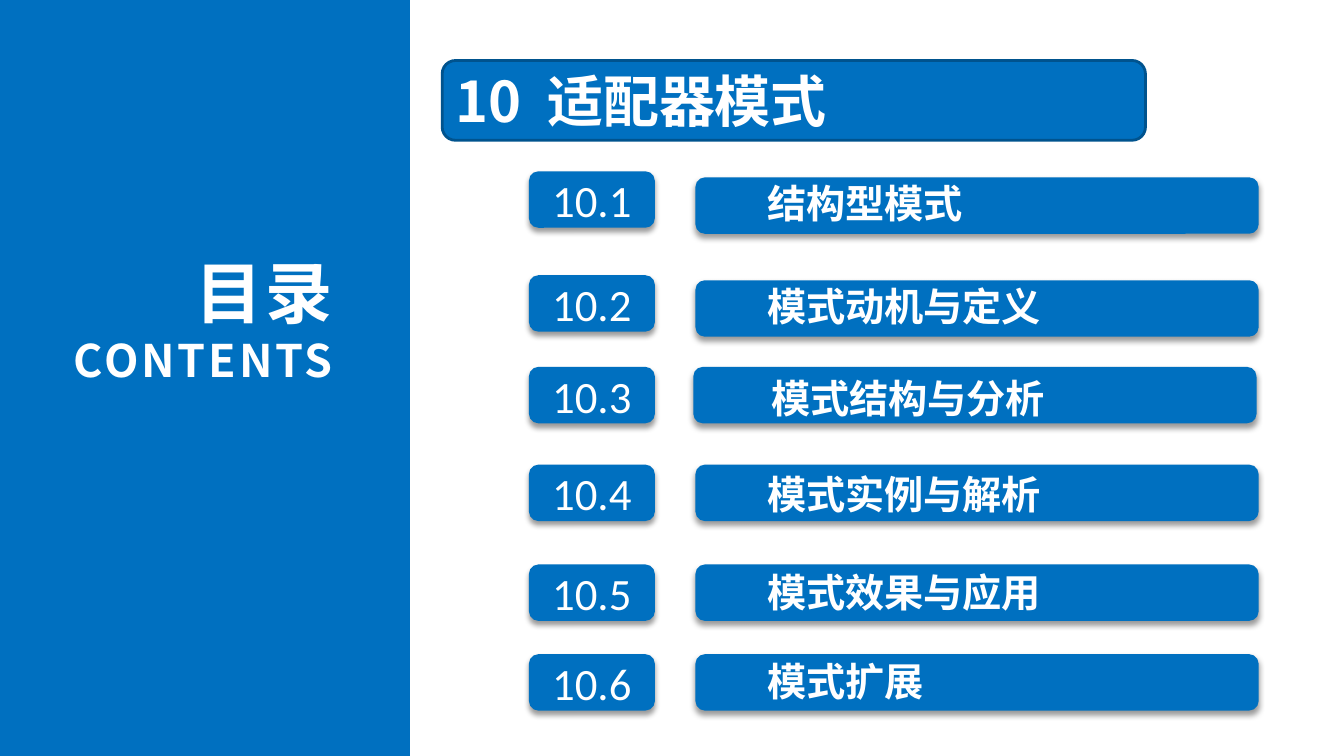
from lxml.etree import SubElement
from pptx import Presentation
from pptx.dml.color import RGBColor
from pptx.enum.shapes import MSO_SHAPE
from pptx.enum.text import MSO_ANCHOR, PP_ALIGN
from pptx.oxml.ns import qn
from pptx.util import Pt

BLUE = RGBColor(0x00, 0x70, 0xC0)
NAVY = RGBColor(0x00, 0x53, 0x8E)
WHITE = RGBColor(0xFF, 0xFF, 0xFF)
CJK = "Noto Sans CJK SC"

HEADING = {"name": CJK, "size": Pt(40), "bold": True}
CONTENTS = {"name": CJK, "size": Pt(48), "bold": True}
CONTENTS_EN = {**CONTENTS, "size": Pt(32)}
NUMBER = {"name": "Calibri", "size": Pt(32)}
LABEL = {"name": CJK, "size": Pt(28), "bold": True}

ROW_HEIGHT = 40.3
SECTIONS = [
    ("结构型模式", 122.4, (0, 4.3), (0, 0.7)),
    ("模式动机与定义", 196.6, (0, 3.6), (0, 0)),
    ("模式结构与分析", 262.1, (-1.5, 0), (2.9, 0.7)),
    ("模式实例与解析", 331.9, (0, 0), (0, -0.7)),
    ("模式效果与应用", 403.2, (0, 0), (0, -2.2)),
    ("模式扩展", 467.3, (0, 0), (0, -2.9)),
]


def add_run(p, text, style, spacing=0):
    """Add a white run with the given font values and letter spacing in points."""
    r = p.add_run()
    r.text = text
    r.font.color.rgb = WHITE
    for key, value in style.items():
        setattr(r.font, key, value)
    rPr = r.font._element
    SubElement(rPr, qn("a:ea"), typeface=style["name"])
    if spacing:
        rPr.set("spc", str(int(spacing * 100)))


def set_frame(sp, anchor=MSO_ANCHOR.TOP):
    """Set wrapping, insets and anchor, and return the text frame."""
    tf = sp.text_frame
    values = {
        "word_wrap": True, "vertical_anchor": anchor,
        "margin_left": Pt(9.6), "margin_right": Pt(9.6),
        "margin_top": Pt(4.8), "margin_bottom": Pt(4.8),
    }
    for key, value in values.items():
        setattr(tf, key, value)
    return tf


def add_panel(s, kind, box):
    """Add a plain blue shape without outline."""
    sp = s.shapes.add_shape(kind, *map(Pt, box))
    sp.shadow.inherit = False
    sp.fill.solid()
    sp.fill.fore_color.rgb = BLUE
    sp.line.fill.background()
    return sp


def add_button(s, box):
    """Add a rounded blue panel with a soft shadow below it."""
    sp = add_panel(s, MSO_SHAPE.ROUNDED_RECTANGLE, box)
    effects = sp._element.spPr.find(qn("a:effectLst"))
    shadow = SubElement(effects, qn("a:outerShdw"), blurRad=str(Pt(4)),
                        dist=str(Pt(3)), dir="5400000", rotWithShape="0")
    color = SubElement(shadow, qn("a:srgbClr"), val="000000")
    SubElement(color, qn("a:alpha"), val="40000")
    return sp


def add_sidebar(s, x, y, w, h):
    """Draw the blue side panel with the contents title."""
    add_panel(s, MSO_SHAPE.RECTANGLE, (x, y, w, h))
    box = (x + 26.6, y + 175, w - 72, 106.6)
    tf = set_frame(s.shapes.add_textbox(*map(Pt, box)))
    lines = [(tf.paragraphs[0], "目录", CONTENTS),
             (tf.add_paragraph(), "CONTENTS", CONTENTS_EN)]
    for p, text, style in lines:
        p.alignment = PP_ALIGN.RIGHT
        add_run(p, text, style, 2)


def add_heading(s, x, y, w, h):
    """Draw the outlined chapter heading."""
    sp = add_panel(s, MSO_SHAPE.ROUNDED_RECTANGLE, (x, y, w, h))
    sp.line.color.rgb = NAVY
    sp.line.width = Pt(2)
    tf = set_frame(sp, MSO_ANCHOR.MIDDLE)
    tf.margin_left = tf.margin_right = Pt(7.2)
    p = tf.paragraphs[0]
    p.alignment = PP_ALIGN.LEFT
    add_run(p, "10", HEADING)
    add_run(p, " ", HEADING, 9)
    add_run(p, "适配器模式", HEADING)


def add_section(s, x, y, w, h, number, title, bar_shift, label_shift):
    """Draw one row: number button, title bar and title text."""
    sp = add_button(s, (x, y, 90, h))
    p = set_frame(sp, MSO_ANCHOR.MIDDLE).paragraphs[0]
    p.alignment = PP_ALIGN.CENTER
    add_run(p, number, NUMBER)
    dx, dy = bar_shift
    add_button(s, (x + 119 + dx, y + dy, w - 119, h))
    dx, dy = label_shift
    box = (x + 160.6 + dx, y + dy, 294.5, 44)
    tf = set_frame(s.shapes.add_textbox(*map(Pt, box)))
    add_run(tf.paragraphs[0], title, LABEL)


def main():
    """Build the contents slide and save it."""
    prs = Presentation()
    prs.slide_width, prs.slide_height = Pt(960.48), Pt(540)
    s = prs.slides.add_slide(prs.slide_layouts[6])
    add_sidebar(s, 0, 0, 293, 540)
    add_heading(s, 316, 43.2, 502.6, 57)
    for i, (title, y, bar_shift, label_shift) in enumerate(SECTIONS, 1):
        add_section(s, 378, y, 521.5, ROW_HEIGHT, f"10.{i}", title,
                    bar_shift, label_shift)
    prs.save("out.pptx")


if __name__ == "__main__":
    main()
